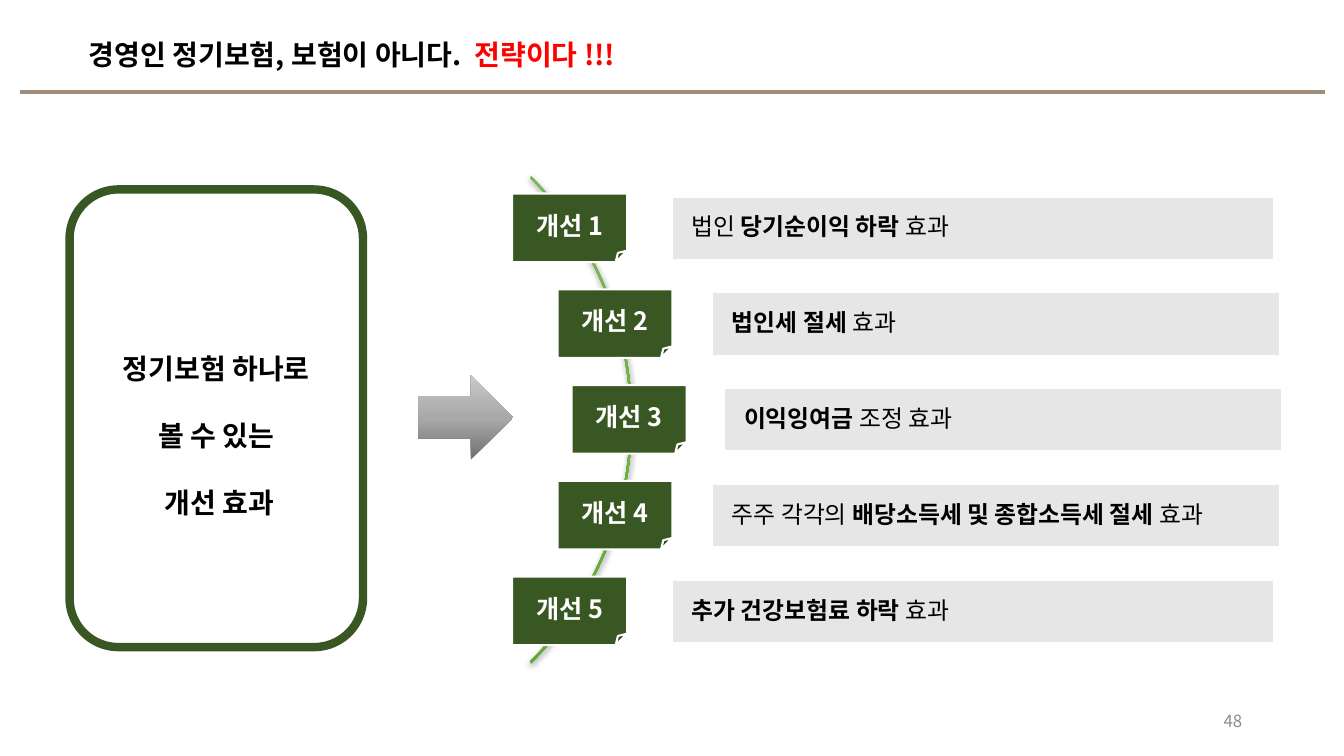
from copy import deepcopy

from lxml.etree import SubElement
from pptx import Presentation
from pptx.dml.color import RGBColor
from pptx.enum.shapes import MSO_CONNECTOR, MSO_SHAPE
from pptx.enum.text import MSO_ANCHOR, MSO_AUTO_SIZE, PP_ALIGN
from pptx.oxml.ns import qn
from pptx.util import Pt

EMU_PER_PX = 9144
FONT = "Noto Sans CJK KR"
COLORS = {
    "black": "000000",
    "white": "FFFFFF",
    "red": "FF0000",
    "green": "385723",
    "bar": "E7E6E6",
    "rule": "A08C78",
    "number": "8C8C8C",
}
ARC_STOPS = [(0, "81B861"), (0.5, "6FB242"), (1, "62A336")]
ARROW_STOPS = [(0, "6F6F6F"), (0.48, "A8A8A8"), (1, "C9C9C9")]


def px(*lengths):
    return [length * EMU_PER_PX for length in lengths]


def rgb(name):
    return RGBColor.from_string(COLORS[name])


class Page:
    def __init__(self, deck):
        self.slide = deck.slides.add_slide(deck.slide_layouts[5])
        self.shapes = self.slide.shapes

    def fill_text(self, shape, paragraphs, size, align=PP_ALIGN.LEFT, spacing=1.0,
                  margins=(10, 5, 10, 5), after=0):
        box = shape.text_frame
        box.word_wrap = True
        box.auto_size = MSO_AUTO_SIZE.NONE
        box.vertical_anchor = MSO_ANCHOR.MIDDLE
        (box.margin_left, box.margin_top,
         box.margin_right, box.margin_bottom) = px(*margins)
        for index, runs in enumerate(paragraphs):
            para = box.add_paragraph() if index else box.paragraphs[0]
            para.alignment = align
            para.line_spacing = spacing
            para.space_before = Pt(0)
            para.space_after = Pt(after)
            for text, color, bold in runs:
                span = para.add_run()
                span.text = text
                span.font.size = Pt(size)
                span.font.bold = bold
                span.font.color.rgb = rgb(color)
                span.font.name = FONT
                east_asian = SubElement(span.font._element, qn("a:ea"))
                east_asian.set("typeface", FONT)

    def title(self, frame, runs):
        title = self.shapes.title
        title.left, title.top, title.width, title.height = px(*frame)
        self.fill_text(title, [runs], 20, spacing=0.9)

    def shape(self, kind, frame, fill=None, line=None, weight=1.5):
        shape = self.shapes.add_shape(kind, *px(*frame))
        shape.shadow.inherit = False
        if fill:
            shape.fill.solid()
            shape.fill.fore_color.rgb = rgb(fill)
        else:
            shape.fill.background()
        if line:
            shape.line.color.rgb = rgb(line)
            shape.line.width = Pt(weight)
        else:
            shape.line.fill.background()
        return shape

    def gradient(self, shape, stops, angle):
        shape.fill.gradient()
        shape.fill.gradient_angle = angle
        stop_list = shape._element.spPr.find(qn("a:gradFill")).find(qn("a:gsLst"))
        while len(stop_list) < len(stops):
            stop_list.append(deepcopy(stop_list[0]))
        for stop, (position, color) in zip(shape.fill.gradient_stops, stops):
            stop.position = position
            stop.color.rgb = RGBColor.from_string(color)

    def drop_shadow(self, shape, opacity, blur, distance):
        effects = shape._element.spPr.find(qn("a:effectLst"))
        shadow = SubElement(effects, qn("a:outerShdw"), blurRad=str(Pt(blur)),
                            dist=str(Pt(distance)), dir="5400000", rotWithShape="0")
        color = SubElement(shadow, qn("a:srgbClr"), val=COLORS["black"])
        SubElement(color, qn("a:alpha"), val=str(opacity * 1000))

    def rule(self, start, end, color, weight):
        rule = self.shapes.add_connector(MSO_CONNECTOR.STRAIGHT, *px(*start, *end))
        rule.line.color.rgb = rgb(color)
        rule.line.width = Pt(weight)
        SubElement(rule._element.spPr, qn("a:effectLst"))

    def arc(self, frame):
        arc = self.shape(MSO_SHAPE.BLOCK_ARC, frame)
        for index, value in enumerate((189, 27, 0.003)):
            arc.adjustments[index] = value
        self.gradient(arc, ARC_STOPS, 270)
        self.drop_shadow(arc, 63, 4.5, 1.5)

    def arrow(self, frame):
        arrow = self.shape(MSO_SHAPE.RIGHT_ARROW, frame)
        self.gradient(arrow, ARROW_STOPS, 90)

    def bar(self, frame, runs):
        bar = self.shape(MSO_SHAPE.RECTANGLE, frame, "bar", "white")
        self.fill_text(bar, [runs], 17, spacing=0.9, margins=(20, 5, 5, 5), after=6)

    def note(self, frame, text):
        note = self.shape(MSO_SHAPE.FOLDED_CORNER, frame, "green", "white")
        self.fill_text(note, [[(text, "white", True)]], 18, PP_ALIGN.CENTER,
                       margins=(0, 6, 0, 0))

    def card(self, frame, lines):
        card = self.shape(MSO_SHAPE.ROUNDED_RECTANGLE, frame, line="green", weight=6)
        self.fill_text(card, [[(text, "black", True)] for text in lines], 20,
                       PP_ALIGN.CENTER, spacing=2.0)

    def number(self, frame, text):
        box = self.shapes.add_textbox(*px(*frame))
        self.fill_text(box, [[(text, "number", False)]], 12, PP_ALIGN.RIGHT)


EFFECTS = [
    [("법인 ", False), ("당기순이익 하락", True), (" 효과", False)],
    [("법인세 절세", True), (" 효과", False)],
    [("이익잉여금", True), (" 조정 효과", False)],
    [("주주 각각의 ", False), ("배당소득세 및 종합소득세 절세", True), (" 효과", False)],
    [("추가 건강보험료 하락 ", True), ("효과", False)],
]
OUTER, INNER, MIDDLE = (508, 666, 598), (553, 706, 564), (567, 718, 554)
COLUMNS = [OUTER, INNER, MIDDLE, INNER, OUTER]
ROW_TOP, ROW_PITCH = 195, 95


def main():
    deck = Presentation()
    deck.slide_width, deck.slide_height = px(1333, 750)
    page = Page(deck)
    page.title((78, 28, 1150, 55), [
        ("경영인 정기보험, 보험이 아니다.  ", "black", True),
        ("전략이다 !!!", "red", True),
    ])
    page.arc((-56, 75, 683, 683))
    for row, (effect, column) in enumerate(zip(EFFECTS, COLUMNS)):
        note_left, bar_left, bar_width = column
        top = ROW_TOP + row * ROW_PITCH
        runs = [(text, "black", bold) for text, bold in effect]
        page.bar((bar_left, top, bar_width, 63), runs)
        page.note((note_left, top - 3, 114, 68), f"개선 {row + 1}")
    page.card((69, 188, 291, 454), ["정기보험 하나로", "볼 수 있는", " 개선 효과"])
    page.arrow((415, 372, 94, 84))
    page.number((942, 695, 300, 40), "48")
    page.rule((20, 91), (1314, 91), "rule", 3)
    deck.save("out.pptx")


if __name__ == "__main__":
    main()
